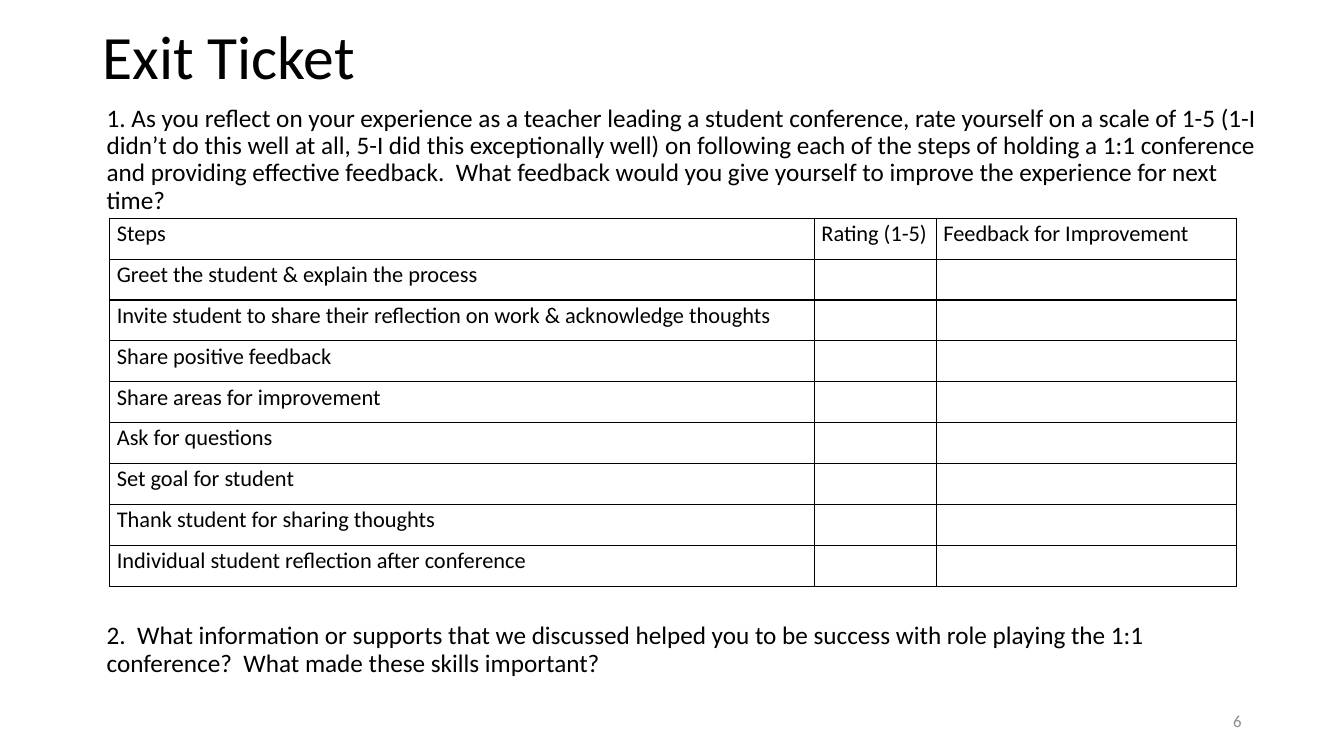
from dataclasses import dataclass

from lxml.etree import SubElement
from pptx import Presentation
from pptx.dml.color import RGBColor
from pptx.enum.text import MSO_ANCHOR, MSO_AUTO_SIZE, PP_ALIGN
from pptx.oxml.ns import qn
from pptx.shapes.base import BaseShape
from pptx.slide import Slide
from pptx.table import _Cell
from pptx.text.text import TextFrame
from pptx.util import Pt

FONT = "Calibri"
BLACK = "000000"
GREY = "8C8C8C"
TITLE_ONLY = 5

QUESTIONS = (
    "1. As you reflect on your experience as a teacher leading a student conference, "
    "rate yourself on a scale of 1-5 (1-I didn’t do this well at all, 5-I did this "
    "exceptionally well) on following each of the steps of holding a 1:1 conference and "
    "providing effective feedback.  What feedback would you give yourself to improve the "
    "experience for next time?",
    "2.  What information or supports that we discussed helped you to be success with role "
    "playing the 1:1 conference?  What made these skills important?",
)
HEADINGS = ("Steps", "Rating (1-5)", "Feedback for Improvement")
STEPS = (
    "Greet the student & explain the process",
    "Invite student to share their reflection on work & acknowledge thoughts",
    "Share positive feedback",
    "Share areas for improvement",
    "Ask for questions",
    "Set goal for student",
    "Thank student for sharing thoughts",
    "Individual student reflection after conference",
)
COLUMN_WIDTHS = (503.3, 87.1, 214.6)
ROW_HEIGHT = 29.2
TABLE_GAP = 291.7  # space between the questions, where the table sits


@dataclass(frozen=True)
class Area:
    left: float
    top: float
    width: float
    height: float


@dataclass(frozen=True)
class TextStyle:
    size: float
    color: str = BLACK
    line_spacing: float = 1.0
    align: PP_ALIGN = PP_ALIGN.LEFT


TITLE_AREA = Area(66, 10.8, 828, 63.4)
QUESTION_AREA = Area(69.1, 72, 839.5, 428.4)
TABLE_AREA = Area(78.5, 155.9, sum(COLUMN_WIDTHS), ROW_HEIGHT * (len(STEPS) + 1))
NUMBER_AREA = Area(678, 500.4, 216, 28.8)

TITLE_STYLE = TextStyle(44, line_spacing=0.9)
QUESTION_STYLE = TextStyle(18, line_spacing=0.9)
CELL_STYLE = TextStyle(16, line_spacing=1.07)
NUMBER_STYLE = TextStyle(12, GREY, align=PP_ALIGN.RIGHT)


def color(value: str) -> RGBColor:
    return RGBColor.from_string(value)


def apply(target: object, values: dict) -> None:
    for name, value in values.items():
        setattr(target, name, value)


def place(shape: BaseShape, area: Area) -> None:
    apply(shape, {"left": Pt(area.left), "top": Pt(area.top),
                  "width": Pt(area.width), "height": Pt(area.height)})


def write(frame: TextFrame, texts: tuple[str, ...], style: TextStyle, gap: float = 0) -> None:
    """Fill a frame with one paragraph per text, gap points apart."""
    for index, text in enumerate(texts):
        para = frame.add_paragraph() if index else frame.paragraphs[0]
        apply(para, {"alignment": style.align, "line_spacing": style.line_spacing,
                     "space_before": Pt(gap if index else 0)})
        span = para.add_run()
        span.text = text
        apply(span.font, {"name": FONT, "size": Pt(style.size)})
        span.font.color.rgb = color(style.color)


def set_frame(frame: TextFrame, anchor: MSO_ANCHOR) -> None:
    apply(frame, {"word_wrap": True, "auto_size": MSO_AUTO_SIZE.NONE,
                  "vertical_anchor": anchor})


def add_text(page: Slide, area: Area, texts: tuple[str, ...], style: TextStyle,
             anchor: MSO_ANCHOR, gap: float = 0) -> None:
    box = page.shapes.add_textbox(0, 0, 0, 0)
    place(box, area)
    set_frame(box.text_frame, anchor)
    write(box.text_frame, texts, style, gap)


def add_borders(cell: _Cell) -> None:
    properties = cell._tc.get_or_add_tcPr()
    for index, side in enumerate(("lnL", "lnR", "lnT", "lnB")):
        line = SubElement(properties, qn(f"a:{side}"), w=str(Pt(1)))
        fill = SubElement(line, qn("a:solidFill"))
        SubElement(fill, qn("a:srgbClr"), val=BLACK)
        properties.insert(index, line)


def add_step_table(page: Slide) -> None:
    rows = (HEADINGS, *((step, "", "") for step in STEPS))
    frame = page.shapes.add_table(len(rows), len(HEADINGS), 0, 0, 0, 0)
    place(frame, TABLE_AREA)
    table = frame.table
    apply(table, {"first_row": False, "horz_banding": False})
    for column, width in zip(table.columns, COLUMN_WIDTHS):
        column.width = Pt(width)
    for row, texts in zip(table.rows, rows):
        row.height = Pt(ROW_HEIGHT)
        for cell, text in zip(row.cells, texts):
            apply(cell, {"margin_left": Pt(5), "margin_right": Pt(5),
                         "margin_top": 0, "margin_bottom": 0})
            cell.fill.background()
            add_borders(cell)
            if text:
                write(cell.text_frame, (text,), CELL_STYLE)


def main() -> None:
    deck = Presentation()
    apply(deck, {"slide_width": Pt(960), "slide_height": Pt(540)})
    page = deck.slides.add_slide(deck.slide_layouts[TITLE_ONLY])

    title = page.shapes.title
    place(title, TITLE_AREA)
    set_frame(title.text_frame, MSO_ANCHOR.MIDDLE)
    write(title.text_frame, ("Exit Ticket",), TITLE_STYLE)

    add_text(page, QUESTION_AREA, QUESTIONS, QUESTION_STYLE, MSO_ANCHOR.TOP, TABLE_GAP)
    add_step_table(page)
    add_text(page, NUMBER_AREA, ("6",), NUMBER_STYLE, MSO_ANCHOR.MIDDLE)
    deck.save("out.pptx")


if __name__ == "__main__":
    main()
